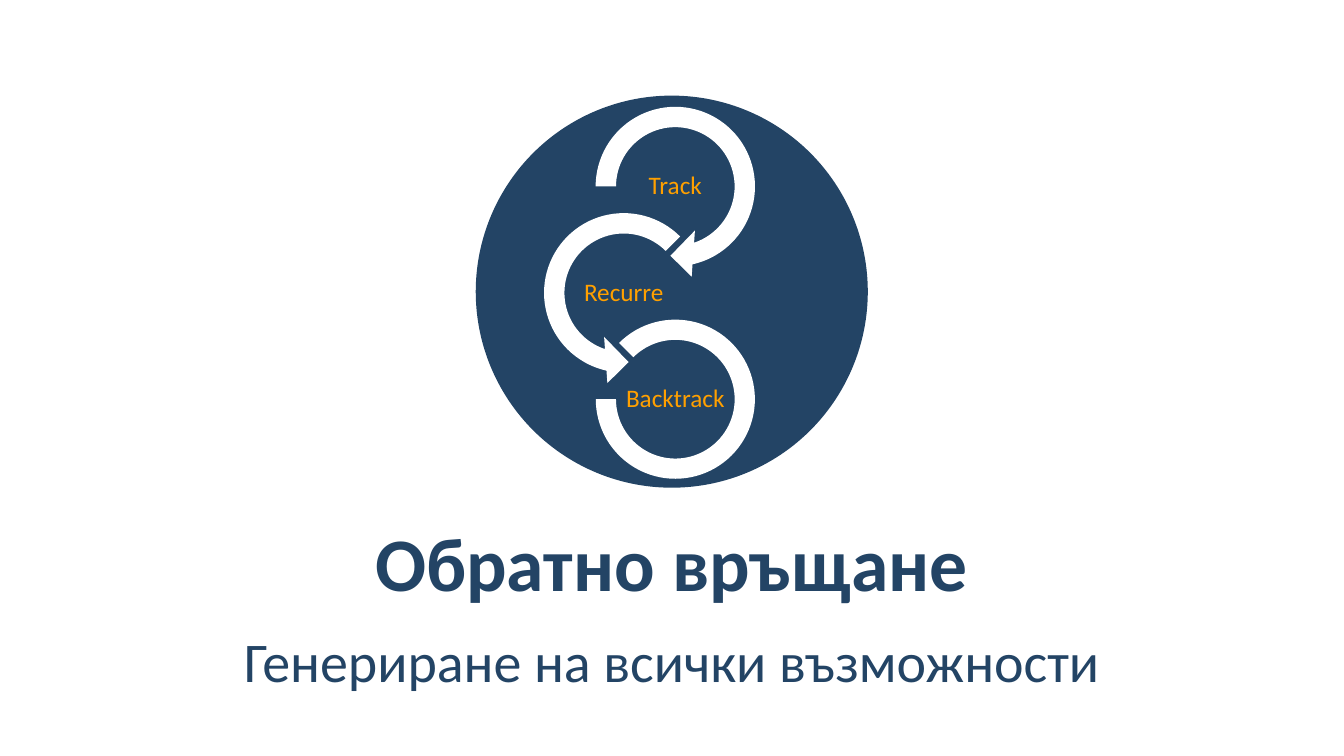
from pptx import Presentation
from pptx.dml.color import RGBColor
from pptx.enum.shapes import MSO_SHAPE
from pptx.enum.text import MSO_ANCHOR, MSO_AUTO_SIZE, PP_ALIGN
from pptx.util import Cm, Pt

CENTER, MIDDLE, NO_FIT = PP_ALIGN.CENTER, MSO_ANCHOR.MIDDLE, MSO_AUTO_SIZE.NONE
OVAL, ARC = MSO_SHAPE.OVAL, MSO_SHAPE.BLOCK_ARC
RIGHT_ARROW, LEFT_ARROW = MSO_SHAPE.CIRCULAR_ARROW, MSO_SHAPE.LEFT_CIRCULAR_ARROW

FONT = "Calibri"
COLORS = {"navy": "234465", "white": "FFFFFF", "orange": "FFA000"}
STEPS = [
    ("Track", RIGHT_ARROW, 5.03, 4.67, (0.11, 11.423, 45, 108, 0.125)),
    ("Recurre", LEFT_ARROW, 3.73, 4.67, (0.11, 11.423, 63, 189, 0.125)),
    ("Backtrack", ARC, 5.03, 4.01, (135, 108, 0.127)),
]


def rgb(name):
    """Return the named palette colour."""
    return RGBColor.from_string(COLORS[name])


def add_filled(shapes, kind, x, y, w, h, color):
    """Add a preset shape with a plain fill and no outline."""
    sp = shapes.add_shape(kind, Cm(x), Cm(y), Cm(w), Cm(h))
    sp.shadow.inherit = False
    sp.fill.solid()
    sp.fill.fore_color.rgb = rgb(color)
    sp.line.fill.background()
    return sp


def write(sp, text, size, color, inset, bold=False):
    """Write one centred line into a shape and return its paragraph."""
    tf = sp.text_frame
    tf.word_wrap = True
    tf.auto_size = NO_FIT
    tf.vertical_anchor = MIDDLE
    tf.margin_left = tf.margin_right = Cm(inset[0])
    tf.margin_top = tf.margin_bottom = Cm(inset[1])
    p = tf.paragraphs[0]
    p.alignment = CENTER
    p.space_before = Pt(0)
    r = p.add_run()
    r.text = text
    r.font.name, r.font.size, r.font.bold = FONT, Pt(size), bold
    r.font.color.rgb = rgb(color)
    return p


def add_emblem(slide, x, y, size):
    """Draw the disc with its chain of three labelled rings."""
    add_filled(slide.shapes, OVAL, x, y, size, size, "navy")
    shapes = slide.shapes.add_group_shape().shapes
    label_w, label_h, pitch = 2.59, 1.3, 2.68
    for i, (text, kind, dx, ring, adjustments) in enumerate(STEPS):
        cx, cy = x + dx, y + 2.29 + i * pitch
        sp = add_filled(shapes, kind, cx - ring / 2, cy - ring / 2, ring, ring, "white")
        for j, value in enumerate(adjustments):
            sp.adjustments[j] = value
        label = shapes.add_textbox(Cm(cx - label_w / 2), Cm(cy - label_h / 2),
                                   Cm(label_w), Cm(label_h))
        p = write(label, text, 18, "orange", (0.03, 0.03))
        p.line_spacing = 0.9


def add_headings(slide, x, y, w):
    """Place the title and the subtitle below it."""
    h, pitch, inset = 2.13, 2.44, (0.3, 0.1)
    title, subtitle = slide.shapes.title, slide.placeholders[1]
    for i, sp in enumerate((title, subtitle)):
        sp.left, sp.top, sp.width, sp.height = Cm(x), Cm(y + i * pitch), Cm(w), Cm(h)
    write(title, "Обратно връщане", 54, "navy", inset, bold=True)
    p = write(subtitle, "Генериране на всички възможности", 40, "navy", inset)
    p.line_spacing = 1.05
    p.space_after = Pt(6)


def main():
    """Build and save the section slide."""
    prs = Presentation()
    prs.slide_width, prs.slide_height = Cm(33.87), Cm(19.05)
    slide = prs.slides.add_slide(prs.slide_layouts[0])
    slide.background.fill.solid()
    slide.background.fill.fore_color.rgb = rgb("white")
    add_emblem(slide, 11.99, 2.41, 9.88)
    add_headings(slide, 1.7, 13.08, 30.45)
    prs.save("out.pptx")


if __name__ == "__main__":
    main()
